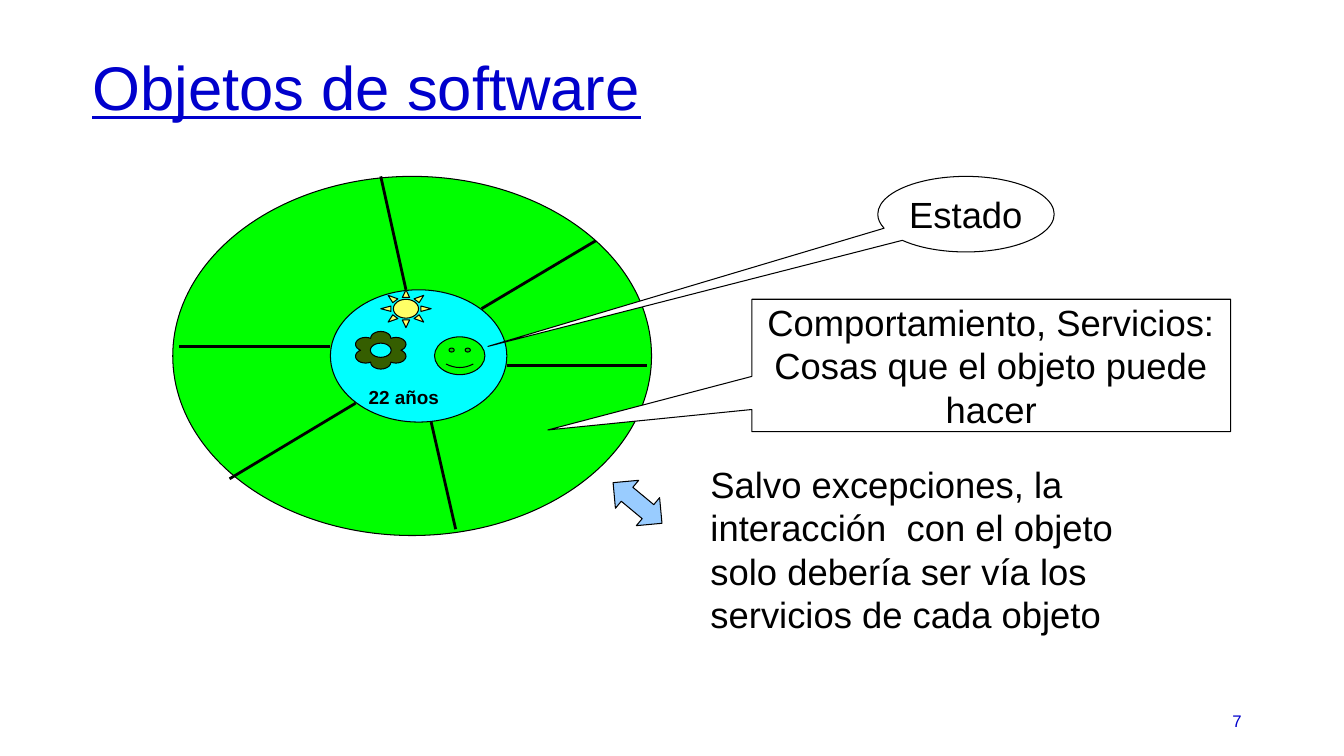
import math

from lxml import etree
from pptx import Presentation
from pptx import util as u
from pptx.dml.color import RGBColor
from pptx.enum import shapes as s, text as t
from pptx.oxml.ns import qn

Pt = u.Pt
BLACK, WHITE, BLUE = "000000", "FFFFFF", "0000CC"
GREEN, CYAN = "00FF00", "00FFFF"


def color(target, hex_value):
    target.rgb = RGBColor.from_string(hex_value)


def outline(line):
    color(line.color, BLACK)
    line.width = Pt(0)


def paint(shape, fill):
    shape.shadow.inherit = False
    shape.fill.solid()
    color(shape.fill.fore_color, fill)
    outline(shape.line)
    return shape


def add_figure(slide, kind, box, fill, adjustments=()):
    figure = slide.shapes.add_shape(kind, *map(Pt, box))
    for index, value in enumerate(adjustments):
        figure.adjustments[index] = value
    return paint(figure, fill)


def write(shape, paragraphs, size=26, ink=BLACK, align=t.PP_ALIGN.LEFT,
          spacing=None, frame_format=None, **font_format):
    frame = shape.text_frame
    frame_values = {"word_wrap": True, "vertical_anchor": t.MSO_ANCHOR.TOP}
    for name, value in {**frame_values, **(frame_format or {})}.items():
        setattr(frame, name, value)
    for index, wording in enumerate(paragraphs):
        paragraph = frame.add_paragraph() if index else frame.paragraphs[0]
        paragraph.alignment = align
        paragraph.line_spacing = spacing
        run = paragraph.add_run()
        run.text = wording
        font_values = {"name": "Arial", "size": Pt(size), **font_format}
        for name, value in font_values.items():
            setattr(run.font, name, value)
        color(run.font.color, ink)


def add_text(slide, box, paragraphs, **format_values):
    write(slide.shapes.add_textbox(*map(Pt, box)), paragraphs, **format_values)


def add_divider(slide, start, end):
    divider = slide.shapes.add_connector(
        s.MSO_CONNECTOR.STRAIGHT, *map(Pt, start + end))
    outline(divider.line)
    etree.SubElement(divider.line._ln.getparent(), qn("a:effectLst"))


def arc(center, radius, first, last, steps=12):
    angles = [math.radians(first + (last - first) * i / steps)
              for i in range(steps + 1)]
    return [(center[0] + radius * math.cos(a), center[1] + radius * math.sin(a))
            for a in angles]


def add_flower(slide, center, unit):
    """Six half-round petals around an open centre."""
    petals = []
    for angle in range(30, 390, 60):
        petal_center = (0.64 * math.cos(math.radians(angle)),
                        0.64 * math.sin(math.radians(angle)))
        petals += arc(petal_center, 0.37, angle - 90, angle + 90)
    heart = arc((0, 0), 0.38, 0, 360, 24)

    def place(points):
        return [(Pt(center[0] + x * unit[0]), Pt(center[1] + y * unit[1]))
                for x, y in points]

    petals, heart = place(petals), place(heart)
    builder = slide.shapes.build_freeform(*petals[0])
    builder.add_line_segments(petals[1:], close=True)
    builder.move_to(*heart[0])
    builder.add_line_segments(heart[1:], close=True)
    paint(builder.convert_to_shape(), "355E00")


def main():
    deck = Presentation()
    deck.slide_width, deck.slide_height = Pt(960), Pt(540)
    slide = deck.slides.add_slide(deck.slide_layouts[6])
    shape = s.MSO_SHAPE
    middle = {"vertical_anchor": t.MSO_ANCHOR.MIDDLE}
    no_margins = dict.fromkeys(
        ("margin_left", "margin_top", "margin_right", "margin_bottom"), 0)

    # Title
    add_text(slide, (66, 28.75, 828, 72), ["Objetos de software"], size=44,
             ink=BLUE, spacing=0.9, underline=True,
             frame_format={**middle, **no_margins})

    # Object: services ring around the state
    add_figure(slide, shape.OVAL, (123.4, 126, 342, 256.5), GREEN)
    add_figure(slide, shape.OVAL, (236, 207, 126, 94.5), CYAN)
    add_figure(slide, shape.SUN, (272, 207, 36, 27), "FFFF66", [0.25])
    add_flower(slide, (272, 250.2), (19.5, 13.3))
    add_figure(slide, shape.SMILEY_FACE, (310.4, 240.6, 36, 27), GREEN, [0.047])

    # State callout
    state = add_figure(slide, shape.OVAL_CALLOUT, (627, 126, 126, 54), WHITE,
                       [-2.71, 1.749])
    write(state, ["Estado"], align=t.PP_ALIGN.CENTER,
          frame_format={**middle, "word_wrap": False})

    # Dividers between services
    for start, end in (
            ((128, 247.5), (236, 247.5)),
            ((254, 288), (164, 342)),
            ((308, 301.5), (325.5, 378)),
            ((362, 261), (462, 261)),
            ((290, 207), (272, 126)),
            ((344, 220.5), (425.5, 172))):
        add_divider(slide, start, end)

    # Services callout
    services = add_figure(slide, shape.RECTANGULAR_CALLOUT,
                          (537, 213.8, 342, 94.5), WHITE, [-0.926, 0.488])
    write(services, ["Comportamiento, Servicios:",
                     "Cosas que el objeto puede hacer"],
          align=t.PP_ALIGN.CENTER, frame_format=middle)

    # Interaction rule, age and exchange arrow
    add_text(slide, (500.4, 326.2, 306, 117.4),
             ["Salvo excepciones, la interacción  con el objeto solo debería "
              "ser vía los servicios de cada objeto"])
    add_text(slide, (256.3, 272.2, 90, 24.5), ["22 años"], size=13.5, bold=True)
    exchange = add_figure(slide, shape.LEFT_RIGHT_ARROW,
                          (432.7, 346.3, 45.4, 26), "99CCFF")
    exchange.rotation = 39.7

    # Slide number
    add_text(slide, (678, 500.5, 216, 28.8), ["7"], size=12, ink=BLUE,
             align=t.PP_ALIGN.RIGHT, frame_format=middle)

    deck.save("out.pptx")


if __name__ == "__main__":
    main()
